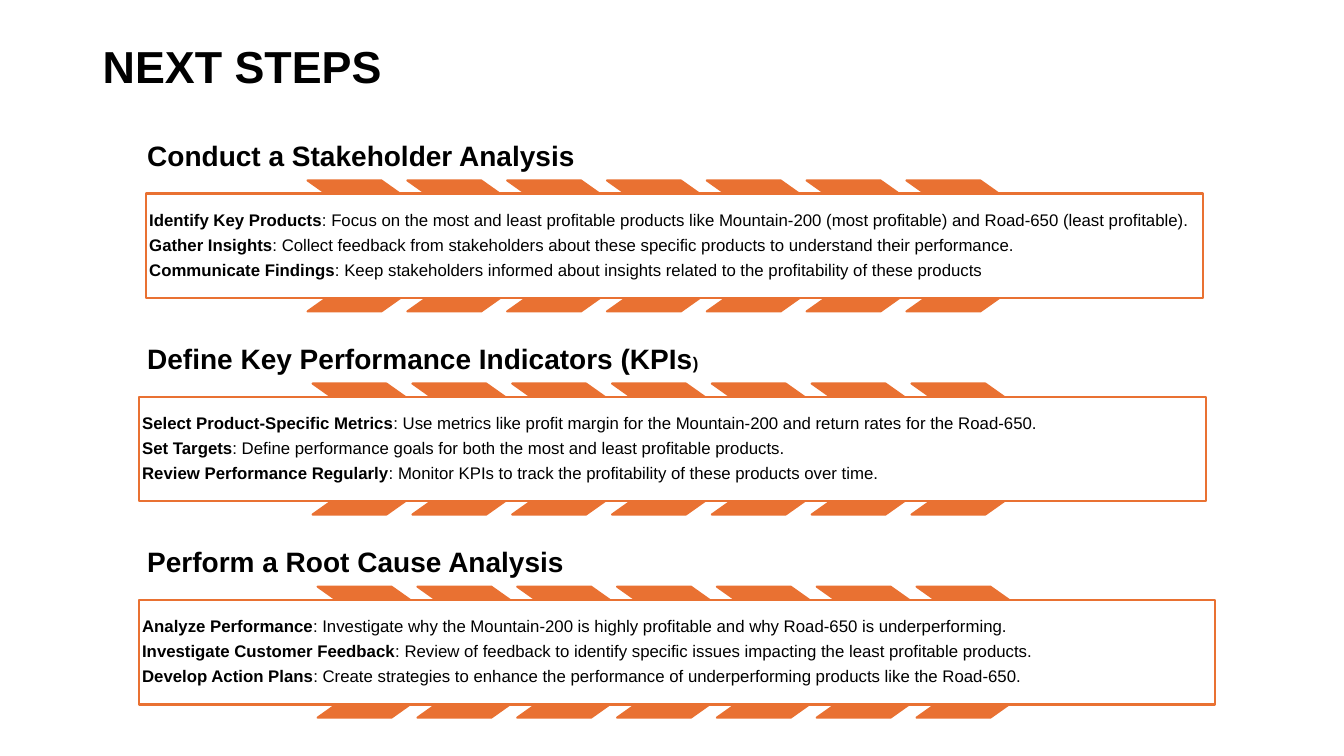
from dataclasses import dataclass

from pptx import Presentation
from pptx.dml.color import RGBColor
from pptx.enum.shapes import MSO_SHAPE
from pptx.enum.text import MSO_ANCHOR, PP_ALIGN
from pptx.shapes.autoshape import Shape
from pptx.slide import Slide
from pptx.text.text import TextFrame, _Paragraph
from pptx.util import Inches, Pt

FONT = "Arial"
ORANGE, BLACK, WHITE = "E97132", "000000", "FFFFFF"

# Vertical rhythm of the three steps
FIRST_TOP, LAST_TOP = 1.15, 5.18
HEADING_LEFT, HEADING_WIDTH, HEADING_HEIGHT = 1.38, 7.04, 0.64
PANEL_DROP, PANEL_HEIGHT = 0.77, 1.04

# Chevron band behind each panel
CHEVRON_COUNT, CHEVRON_PITCH = 7, 0.99
CHEVRON_WIDTH, CHEVRON_HEIGHT, CHEVRON_POINT = 1.65, 1.3, 0.706


@dataclass
class Action:
    name: str
    detail: str


@dataclass
class Step:
    heading: str
    chevron_left: float
    panel_left: float
    panel_width: float
    actions: list[Action]
    small_ending: str = ""


STEPS = [
    Step("Conduct a Stakeholder Analysis", 3.05, 1.45, 10.48, [
        Action("Identify Key Products",
               "Focus on the most and least profitable products like Mountain-200 "
               "(most profitable) and Road-650 (least profitable)."),
        Action("Gather Insights",
               "Collect feedback from stakeholders about these specific products "
               "to understand their performance."),
        Action("Communicate Findings",
               "Keep stakeholders informed about insights related to the "
               "profitability of these products"),
    ]),
    Step("Define Key Performance Indicators (KPIs", 3.1, 1.38, 10.58, [
        Action("Select Product-Specific Metrics",
               "Use metrics like profit margin for the Mountain-200 and return "
               "rates for the Road-650."),
        Action("Set Targets",
               "Define performance goals for both the most and least profitable "
               "products."),
        Action("Review Performance Regularly",
               "Monitor KPIs to track the profitability of these products over time."),
    ], small_ending=")"),
    Step("Perform a Root Cause Analysis", 3.15, 1.38, 10.67, [
        Action("Analyze Performance",
               "Investigate why the Mountain-200 is highly profitable and why "
               "Road-650 is underperforming."),
        Action("Investigate Customer Feedback",
               "Review of feedback to identify specific issues impacting the least "
               "profitable products."),
        Action("Develop Action Plans",
               "Create strategies to enhance the performance of underperforming "
               "products like the Road-650."),
    ]),
]


def color(value: str) -> RGBColor:
    return RGBColor.from_string(value)


def prepare_frame(frame: TextFrame, anchor: MSO_ANCHOR, inset: float) -> None:
    frame.word_wrap = True
    frame.vertical_anchor = anchor
    frame.margin_left = frame.margin_right = Inches(inset)
    frame.margin_top = frame.margin_bottom = Inches(inset)


def style_paragraph(paragraph: _Paragraph, size: float) -> None:
    paragraph.alignment = PP_ALIGN.LEFT
    paragraph.line_spacing = 0.9
    paragraph.font.name = FONT
    paragraph.font.size = Pt(size)
    paragraph.font.color.rgb = color(BLACK)


def add_heading(slide: Slide, text: str, left: float, top: float, width: float,
                height: float, size: float, anchor: MSO_ANCHOR,
                inset: float) -> _Paragraph:
    box = slide.shapes.add_textbox(Inches(left), Inches(top),
                                   Inches(width), Inches(height))
    prepare_frame(box.text_frame, anchor, inset)
    paragraph = box.text_frame.paragraphs[0]
    style_paragraph(paragraph, size)
    paragraph.font.bold = True
    paragraph.add_run().text = text
    return paragraph


def add_outlined(slide: Slide, kind: MSO_SHAPE, left: float, top: float,
                 width: float, height: float, fill: str) -> Shape:
    shape = slide.shapes.add_shape(kind, Inches(left), Inches(top),
                                   Inches(width), Inches(height))
    shape.shadow.inherit = False
    shape.fill.solid()
    shape.fill.fore_color.rgb = color(fill)
    shape.line.color.rgb = color(ORANGE)
    shape.line.width = Pt(1.5)
    return shape


def add_actions(frame: TextFrame, actions: list[Action]) -> None:
    prepare_frame(frame, MSO_ANCHOR.MIDDLE, 0.03)
    for index, action in enumerate(actions):
        paragraph = frame.add_paragraph() if index else frame.paragraphs[0]
        style_paragraph(paragraph, 12)
        paragraph.space_after = Pt(4.8)
        name = paragraph.add_run()
        name.text = action.name
        name.font.bold = True
        paragraph.add_run().text = f": {action.detail}"


def add_step(slide: Slide, step: Step, top: float) -> None:
    # Heading
    heading = add_heading(slide, step.heading, HEADING_LEFT, top, HEADING_WIDTH,
                          HEADING_HEIGHT, 20, MSO_ANCHOR.BOTTOM, 0.08)
    if step.small_ending:
        ending = heading.add_run()
        ending.text = step.small_ending
        ending.font.size = Pt(12)

    # Chevron band
    for index in range(CHEVRON_COUNT):
        chevron = add_outlined(slide, MSO_SHAPE.CHEVRON,
                               step.chevron_left + index * CHEVRON_PITCH,
                               top + HEADING_HEIGHT, CHEVRON_WIDTH,
                               CHEVRON_HEIGHT, ORANGE)
        chevron.adjustments[0] = CHEVRON_POINT

    # Panel with the actions
    panel = add_outlined(slide, MSO_SHAPE.RECTANGLE, step.panel_left,
                         top + PANEL_DROP, step.panel_width, PANEL_HEIGHT, WHITE)
    add_actions(panel.text_frame, step.actions)


def main() -> None:
    presentation = Presentation()
    presentation.slide_width = Inches(13.33)
    presentation.slide_height = Inches(7.5)
    slide = presentation.slides.add_slide(presentation.slide_layouts[6])

    # Slide title
    add_heading(slide, "NEXT STEPS", 0.92, 0.22, 11.5, 0.93, 32,
                MSO_ANCHOR.MIDDLE, 0.1)

    # Steps, evenly spaced down the slide
    pitch = (LAST_TOP - FIRST_TOP) / (len(STEPS) - 1)
    for index, step in enumerate(STEPS):
        add_step(slide, step, FIRST_TOP + index * pitch)

    presentation.save("out.pptx")


if __name__ == "__main__":
    main()
